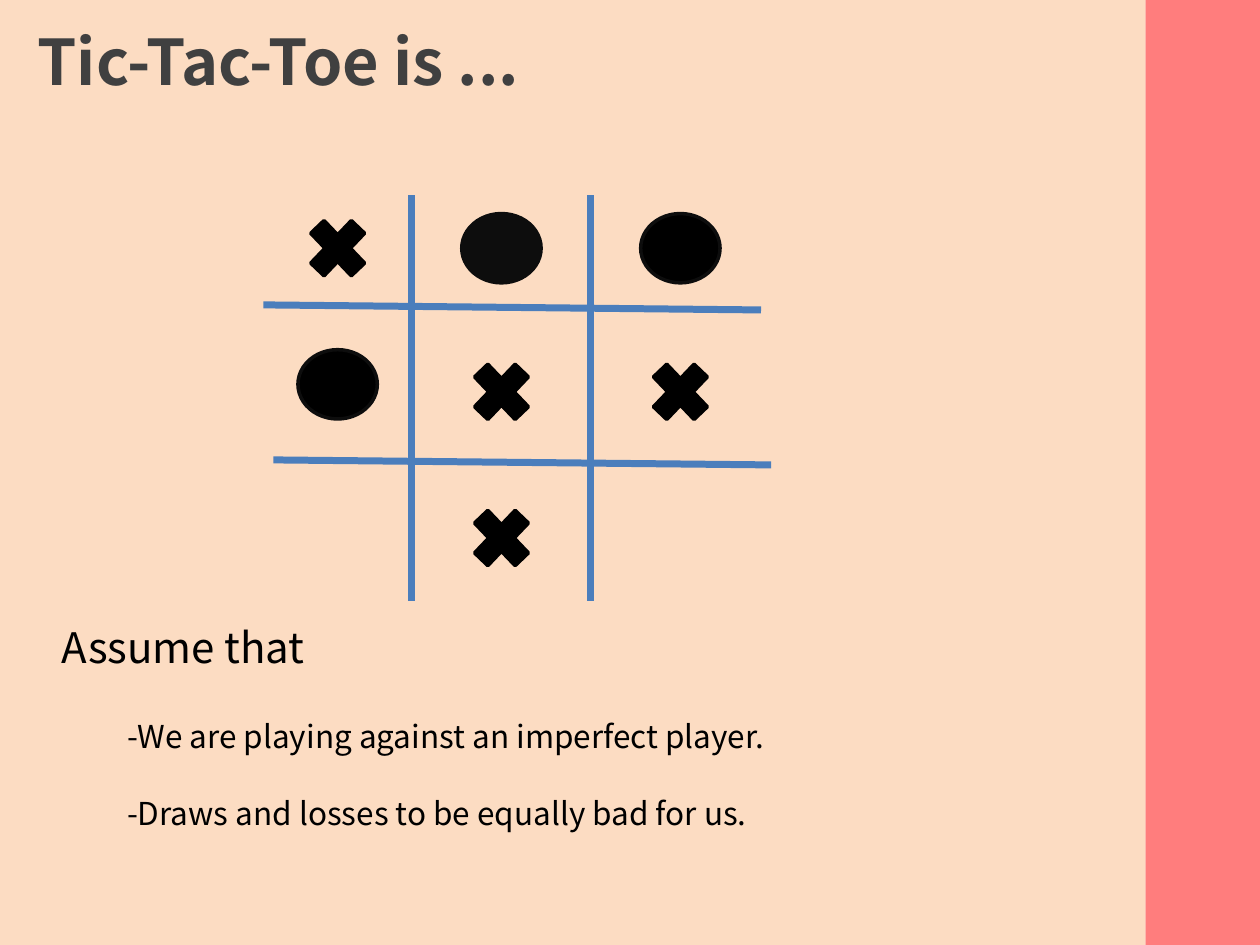
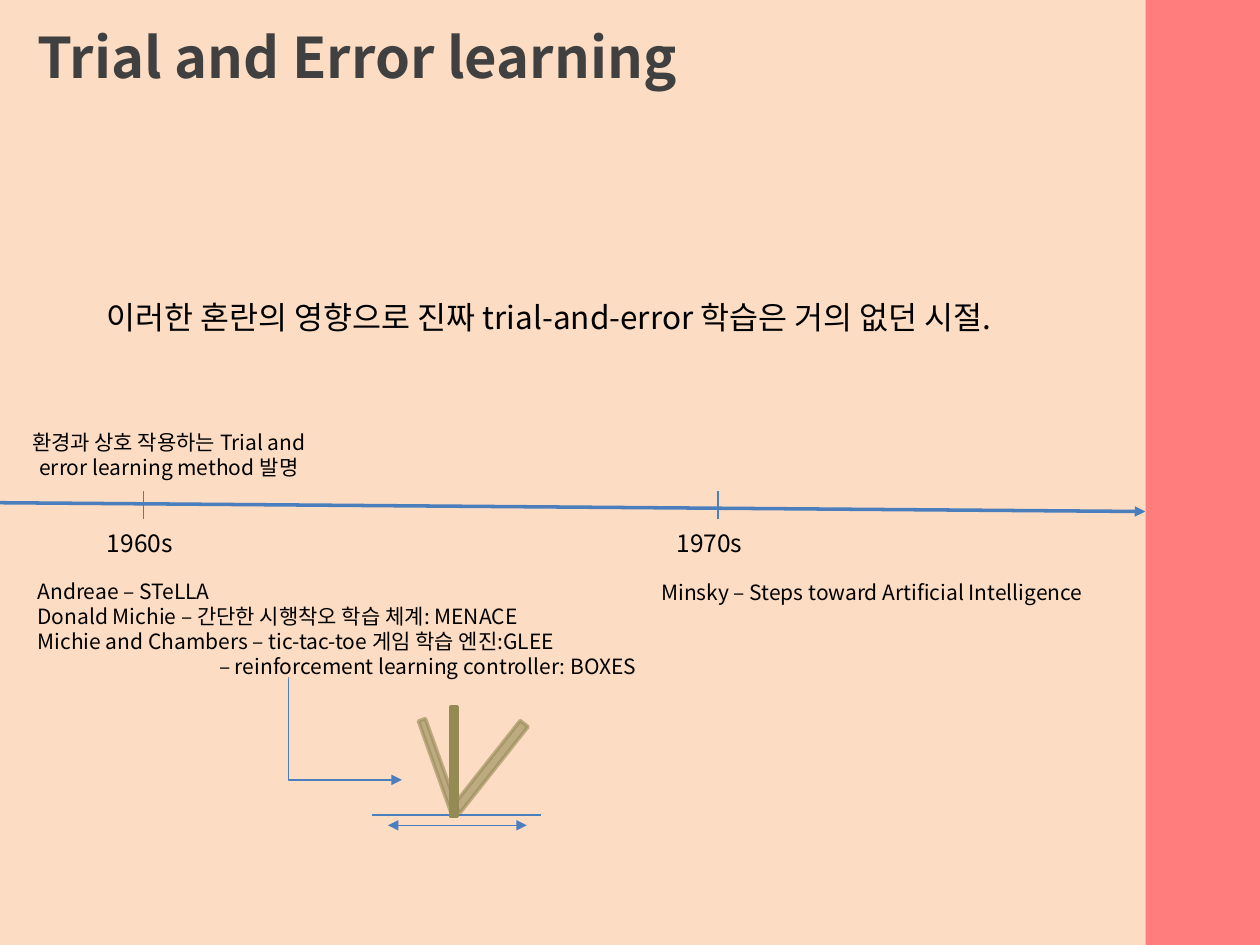
import pptx
import pptx.util
import pptx.dml.color
import pptx.enum.shapes
import pptx.enum.text
import pptx.oxml.ns
import lxml.etree

Inches = pptx.util.Inches
Pt = pptx.util.Pt
RGBColor = pptx.dml.color.RGBColor
SHAPES = pptx.enum.shapes.MSO_SHAPE
CONNECTORS = pptx.enum.shapes.MSO_CONNECTOR
CENTER = pptx.enum.text.PP_ALIGN.CENTER
qn = pptx.oxml.ns.qn

FONT = "Noto Sans CJK KR"
BLACK = RGBColor(0x00, 0x00, 0x00)
NEAR_BLACK = RGBColor(0x0D, 0x0D, 0x0D)
TITLE_GRAY = RGBColor(0x40, 0x40, 0x40)
CORAL = RGBColor(0xFF, 0x6F, 0x6F)
PEACH = RGBColor(0xFC, 0xD9, 0xBC)
BLUE = RGBColor(0x4B, 0x7E, 0xBC)
OLIVE = RGBColor(0x94, 0x8A, 0x54)

SLIDE_WIDTH, SLIDE_HEIGHT = 10, 7.5
PANEL_WIDTH = 9.09


def add_filled(slide, kind, box, fill, line=None, opacity=100, rotation=0):
    """Add a preset shape; a line colour gives it a 2 pt outline."""
    shape = slide.shapes.add_shape(kind, *map(Inches, box))
    shape.shadow.inherit = False
    shape.rotation = rotation
    shape.fill.solid()
    shape.fill.fore_color.rgb = fill
    if line is None:
        shape.line.fill.background()
    else:
        shape.line.color.rgb = line
        shape.line.width = Pt(2)
    if opacity < 100:
        for color in list(shape._element.spPr.iter(qn("a:srgbClr"))):
            lxml.etree.SubElement(color, qn("a:alpha")).set("val", str(opacity * 1000))
    return shape


def add_line(slide, start, end, width, kind=CONNECTORS.STRAIGHT, arrows=()):
    """Add a blue connector; arrows names its ends: headEnd, tailEnd."""
    connector = slide.shapes.add_connector(kind, *map(Inches, (*start, *end)))
    connector.line.color.rgb = BLUE
    connector.line.width = Pt(width)
    outline = connector._element.spPr.find(qn("a:ln"))
    for arrow in arrows:
        lxml.etree.SubElement(outline, qn(f"a:{arrow}")).set("type", "triangle")
    lxml.etree.SubElement(connector._element.spPr, qn("a:effectLst"))
    return connector


def add_text(slide, box, lines, size, color=BLACK, bold=False, align=None, wrap=True):
    text_box = slide.shapes.add_textbox(*map(Inches, box))
    frame = text_box.text_frame
    frame.word_wrap = wrap
    frame.auto_size = pptx.enum.text.MSO_AUTO_SIZE.SHAPE_TO_FIT_TEXT
    frame.text = lines
    for paragraph in frame.paragraphs:
        paragraph.alignment = align
        font = paragraph.font
        font.name = FONT
        font.size = Pt(size)
        font.bold = bold
        font.color.rgb = color
        latin = paragraph._p.pPr.find(qn("a:defRPr")).find(qn("a:latin"))
        east_asian = lxml.etree.Element(qn("a:ea"))
        east_asian.set("typeface", FONT)
        latin.addnext(east_asian)
    return frame


def add_base_slide(presentation, title, title_size, title_box):
    slide = presentation.slides.add_slide(presentation.slide_layouts[6])
    band = (PANEL_WIDTH, 0, SLIDE_WIDTH - PANEL_WIDTH, SLIDE_HEIGHT)
    add_filled(slide, SHAPES.RECTANGLE, band, CORAL, opacity=90)
    panel = (0, 0, PANEL_WIDTH, SLIDE_HEIGHT)
    add_filled(slide, SHAPES.RECTANGLE, panel, PEACH, opacity=90)
    add_text(slide, title_box, title, title_size, TITLE_GRAY, bold=True)
    return slide


def add_board(slide, left, top):
    """Draw the game grid and the marks placed so far."""
    for x, y in ((0.08, 2.1), (0, 0.87)):
        add_line(slide, (left + x, top + y), (left + x + 3.95, top + y + 0.04), 4)
    for x in (1.18, 2.6):
        add_line(slide, (left + x, top), (left + x, top + 3.22), 4)

    column_centers = (0.59, 1.89, 3.31)
    noughts = ((1, 0.42, NEAR_BLACK), (2, 0.42, BLACK), (0, 1.5, BLACK))
    crosses = ((1, 1.56, BLACK), (2, 1.56, BLACK), (0, 0.42, BLACK), (1, 2.72, BLACK))
    for kind, width, height, outline, marks in (
        (SHAPES.OVAL, 0.63, 0.55, NEAR_BLACK, noughts),
        (SHAPES.MATH_MULTIPLY, 0.62, 0.65, BLACK, crosses),
    ):
        for column, center_y, fill in marks:
            x = left + column_centers[column] - width / 2
            y = top + center_y - height / 2
            add_filled(slide, kind, (x, y, width, height), fill, outline)


def add_assumptions(slide, left, top):
    add_text(slide, (left, top, 2.28, 0.5), "Assume that", 24)
    assumptions = (
        "-We are playing against an imperfect player.",
        "-Draws and losses to be equally bad for us.",
    )
    for index, assumption in enumerate(assumptions):
        box = (left + 0.52, top + 0.76 + index * 0.61, 5.75, 0.4)
        add_text(slide, box, assumption, 18)


def add_timeline(slide, top):
    add_line(slide, (0, top), (PANEL_WIDTH, top + 0.07), 2, arrows=["tailEnd"])
    for decade, tick_x, label_x in (("1960s", 1.14, 0.75), ("1970s", 5.7, 5.27)):
        add_line(slide, (tick_x, top - 0.09), (tick_x, top + 0.13), 1)
        add_text(slide, (label_x, top + 0.15, 1.42, 0.34), decade, 14)
    add_text(slide, (0, top - 0.63, 2.68, 0.5),
             "환경과 상호 작용하는 Trial and error learning method 발명", 12, align=CENTER)
    works = add_text(slide, (0.2, top + 0.55, 5.2, 0.91), "\n".join((
        "Andreae – STeLLA",
        "Donald Michie – 간단한 시행착오 학습 체계: MENACE",
        "Michie and Chambers – tic-tac-toe 게임 학습 엔진:GLEE",
        "– reinforcement learning controller: BOXES",
    )), 12)
    works.paragraphs[-1]._p.pPr.set("marL", str(Inches(1.44)))
    add_text(slide, (5.15, top + 0.56, 3.95, 0.3),
             "Minsky – Steps toward Artificial Intelligence", 12)


def add_pole_balancing(slide, left, top):
    """Draw the swinging pole on its track, with the arrow leading to it."""
    add_line(slide, (left, top + 0.86), (left + 1.34, top + 0.86), 1.5)
    add_line(slide, (left + 0.13, top + 0.94), (left + 1.23, top + 0.94), 0.75,
             arrows=["headEnd", "tailEnd"])
    for x, y, width, height, rotation, opacity in (
        (0.63, 0, 0.05, 0.87, 0, 100),
        (0.9, 0.04, 0.08, 0.87, 38.3, 60),
        (0.5, 0.08, 0.06, 0.78, 340.4, 60),
    ):
        add_filled(slide, SHAPES.RECTANGLE, (left + x, top + y, width, height),
                   OLIVE, OLIVE, opacity, rotation)
    elbow = add_line(slide, (left - 0.66, top - 0.23), (left + 0.24, top + 0.58), 0.75,
                     CONNECTORS.ELBOW, ["tailEnd"])
    geometry = elbow._element.spPr.find(qn("a:prstGeom"))
    adjustments = geometry.find(qn("a:avLst"))
    if adjustments is None:
        adjustments = lxml.etree.SubElement(geometry, qn("a:avLst"))
    guide = lxml.etree.SubElement(adjustments, qn("a:gd"))
    guide.set("name", "adj1")
    guide.set("fmla", "val 300")


def build_game_slide(presentation):
    slide = add_base_slide(presentation, "Tic-Tac-Toe is ...", 36, (0.2, 0.13, 7.72, 0.71))
    add_board(slide, 2.09, 1.55)
    add_assumptions(slide, 0.39, 4.88)


def build_history_slide(presentation):
    slide = add_base_slide(presentation, "Trial and Error learning", 32, (0.2, 0.13, 8.5, 0.64))
    add_timeline(slide, 3.99)
    add_text(slide, (0.75, 2.32, 7.89, 0.4),
             "이러한 혼란의 영향으로 진짜 trial-and-error 학습은 거의 없던 시절.", 18, wrap=False)
    add_pole_balancing(slide, 2.95, 5.61)


def main():
    presentation = pptx.Presentation()
    presentation.slide_width = Inches(SLIDE_WIDTH)
    presentation.slide_height = Inches(SLIDE_HEIGHT)
    build_game_slide(presentation)
    build_history_slide(presentation)
    presentation.save("out.pptx")


if __name__ == "__main__":
    main()
